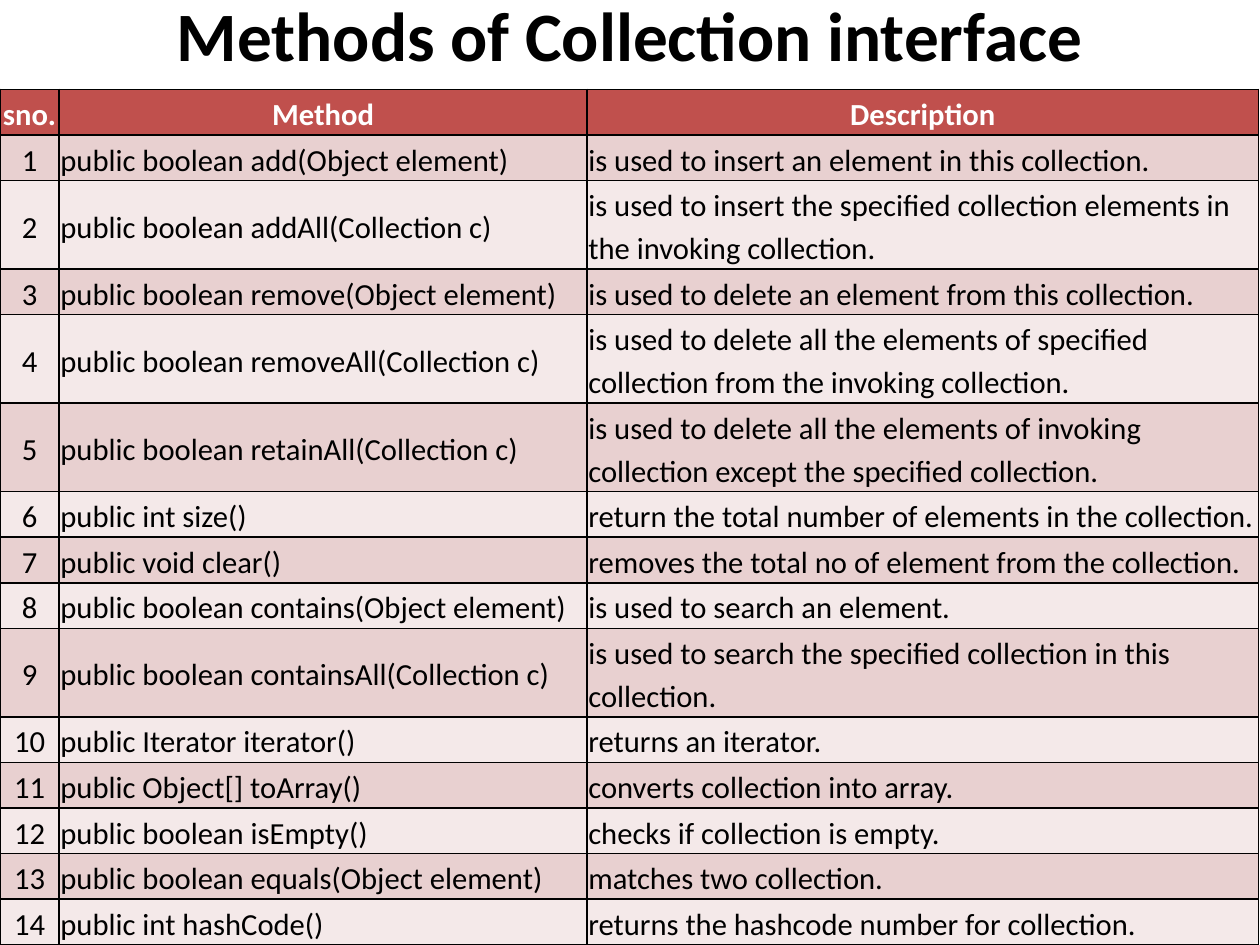
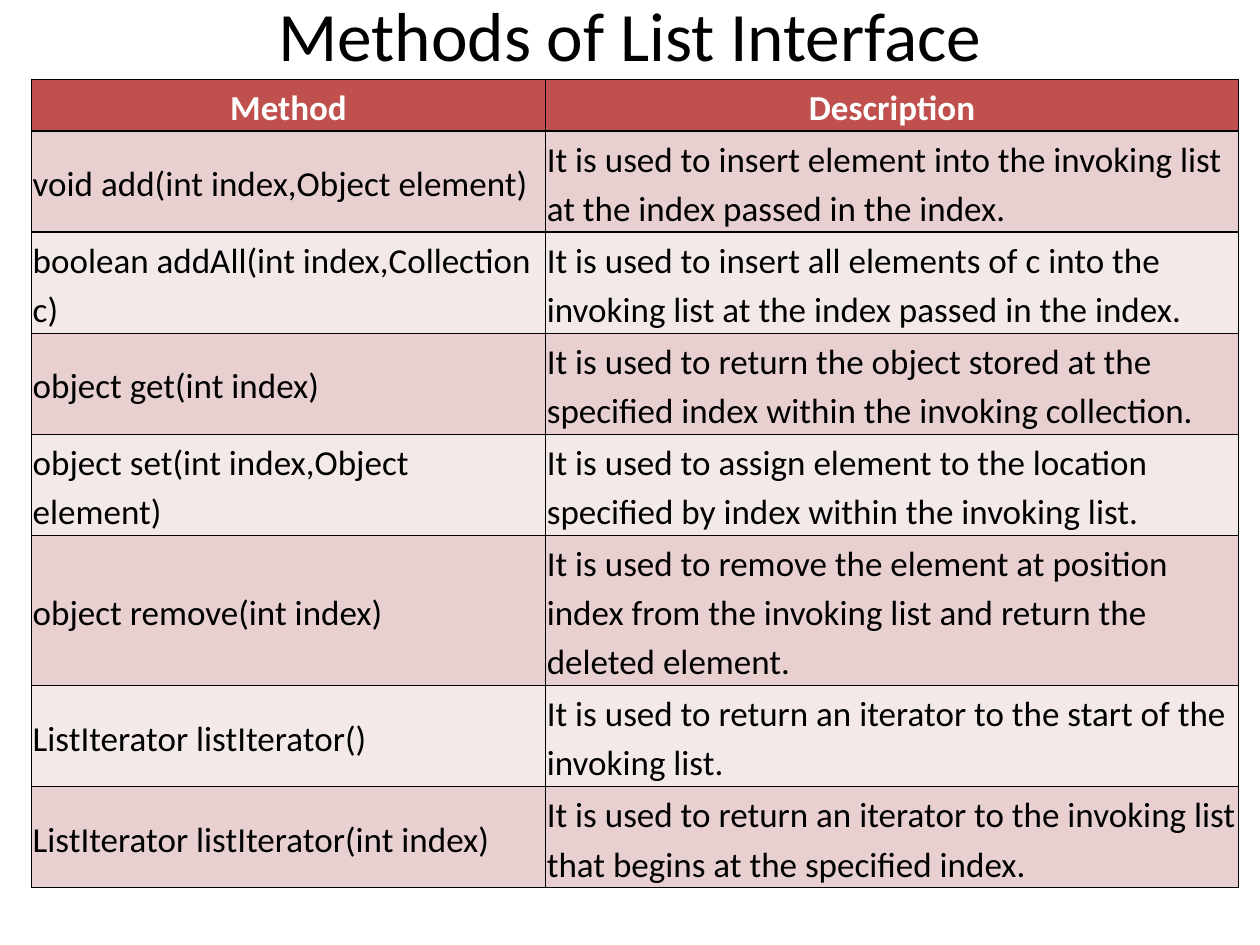
from lxml import etree
from pptx import Presentation
from pptx.dml.color import RGBColor
from pptx.enum.text import MSO_ANCHOR, MSO_AUTO_SIZE, PP_ALIGN
from pptx.oxml.ns import qn
from pptx.util import Inches, Pt

MIDDLE = MSO_ANCHOR.MIDDLE
NO_AUTOFIT = MSO_AUTO_SIZE.NONE
CENTER = PP_ALIGN.CENTER
LEFT = PP_ALIGN.LEFT

COLORS = {
    "header": "C0504D",
    "odd": "E8D0D0",
    "even": "F4E9E9",
    "header_text": "FFFFFF",
    "text": "000000",
    "border": "000000",
}
FONT = "Calibri"
TITLE_SIZE = 39.6
TITLE_ONLY_LAYOUT = 5
CELL_INSET = 0.01
BORDER_WIDTH = 1

COLLECTION_METHODS = [
    ("public boolean add(Object element)",
     "is used to insert an element in this collection."),
    ("public boolean addAll(Collection c)",
     "is used to insert the specified collection elements in the invoking collection."),
    ("public boolean remove(Object element)",
     "is used to delete an element from this collection."),
    ("public boolean removeAll(Collection c)",
     "is used to delete all the elements of specified collection from the invoking collection."),
    ("public boolean retainAll(Collection c)",
     "is used to delete all the elements of invoking collection except the specified collection."),
    ("public int size()", "return the total number of elements in the collection."),
    ("public void clear()", "removes the total no of element from the collection."),
    ("public boolean contains(Object element)", "is used to search an element."),
    ("public boolean containsAll(Collection c)",
     "is used to search the specified collection in this collection."),
    ("public Iterator iterator()", "returns an iterator."),
    ("public Object[] toArray()", "converts collection into array."),
    ("public boolean isEmpty()", "checks if collection is empty."),
    ("public boolean equals(Object element)", "matches two collection."),
    ("public int hashCode()", "returns the hashcode number for collection."),
]
COLLECTION_LINES = [1, 1, 2, 1, 2, 2, 1, 1, 1, 2, 1, 1, 1, 1, 1]

LIST_METHODS = [
    ("void add(int index,Object element)",
     "It is used to insert element into the invoking list at the index passed in the index."),
    ("boolean addAll(int index,Collection c)",
     "It is used to insert all elements of c into the invoking list "
     "at the index passed in the index."),
    ("object get(int index)",
     "It is used to return the object stored at the specified index "
     "within the invoking collection."),
    ("object set(int index,Object element)",
     "It is used to assign element to the location specified by index "
     "within the invoking list."),
    ("object remove(int index)",
     "It is used to remove the element at position index from the invoking list "
     "and return the deleted element."),
    ("ListIterator listIterator()",
     "It is used to return an iterator to the start of the invoking list."),
    ("ListIterator listIterator(int index)",
     "It is used to return an iterator to the invoking list "
     "that begins at the specified index."),
]
LIST_LINES = [1, 2, 2, 2, 2, 3, 2, 2]


def rgb(name):
    return RGBColor.from_string(COLORS[name])


def style_paragraph(paragraph, size, color, bold, align):
    paragraph.alignment = align
    for span in paragraph.runs:
        span.font.name = FONT
        span.font.size = Pt(size)
        span.font.bold = bold
        span.font.color.rgb = rgb(color)


def add_titled_page(deck, text, top, height, bold):
    page = deck.slides.add_slide(deck.slide_layouts[TITLE_ONLY_LAYOUT])
    title = page.shapes.title
    title.left, title.top = Inches(0.5), Inches(top)
    title.width, title.height = Inches(9), Inches(height)
    frame = title.text_frame
    frame.text = text
    frame.auto_size = NO_AUTOFIT
    frame.vertical_anchor = MIDDLE
    style_paragraph(frame.paragraphs[0], TITLE_SIZE, "text", bold, CENTER)
    return page


def add_borders(cell):
    properties = cell._tc.get_or_add_tcPr()
    for index, side in enumerate(("a:lnL", "a:lnR", "a:lnT", "a:lnB")):
        line = etree.Element(qn(side), w=str(Pt(BORDER_WIDTH)))
        fill = etree.SubElement(line, qn("a:solidFill"))
        etree.SubElement(fill, qn("a:srgbClr"), val=COLORS["border"])
        properties.insert(index, line)


def fill_cell(cell, text, size, fill, color, bold, align):
    cell.text_frame.text = text
    cell.vertical_anchor = MIDDLE
    cell.margin_left = cell.margin_right = Inches(CELL_INSET)
    cell.margin_top = cell.margin_bottom = Inches(CELL_INSET)
    cell.fill.solid()
    cell.fill.fore_color.rgb = rgb(fill)
    paragraph = cell.text_frame.paragraphs[0]
    paragraph.line_spacing = 1.15
    paragraph.space_after = Pt(10)
    style_paragraph(paragraph, size, color, bold, align)
    add_borders(cell)


def add_method_table(page, rows, left, top, widths, size, line_counts, line_height):
    heights = [count * line_height + CELL_INSET for count in line_counts]
    table = page.shapes.add_table(
        len(rows), len(widths), Inches(left), Inches(top),
        Inches(sum(widths)), Inches(sum(heights))).table
    table.horz_banding = False
    table.first_row = False
    for column, width in zip(table.columns, widths):
        column.width = Inches(width)
    for row, height in zip(table.rows, heights):
        row.height = Inches(height)
    for row_index, texts in enumerate(rows):
        is_header = row_index == 0
        band = "header" if is_header else "odd" if row_index % 2 else "even"
        color = "header_text" if is_header else "text"
        for column_index, text in enumerate(texts):
            align = CENTER if is_header or text.isdigit() else LEFT
            fill_cell(table.cell(row_index, column_index), text, size,
                      band, color, is_header, align)


def add_collection_page(deck):
    page = add_titled_page(deck, "Methods of Collection interface", 0.08, 0.37, True)
    rows = [("sno.", "Method", "Description")]
    rows += [(str(number), *entry) for number, entry in enumerate(COLLECTION_METHODS, 1)]
    add_method_table(page, rows, 0, 0.71, [0.47, 4.19, 5.33], 17.5,
                     COLLECTION_LINES, 0.34)


def add_list_page(deck):
    page = add_titled_page(deck, "Methods of List Interface", 0, 0.53, False)
    rows = [("Method", "Description")] + LIST_METHODS
    add_method_table(page, rows, 0.25, 0.63, [4.08, 5.5], 20, LIST_LINES, 0.39)


def main():
    deck = Presentation()
    deck.slide_width = Inches(10)
    deck.slide_height = Inches(7.5)
    add_collection_page(deck)
    add_list_page(deck)
    deck.save("out.pptx")


main()
